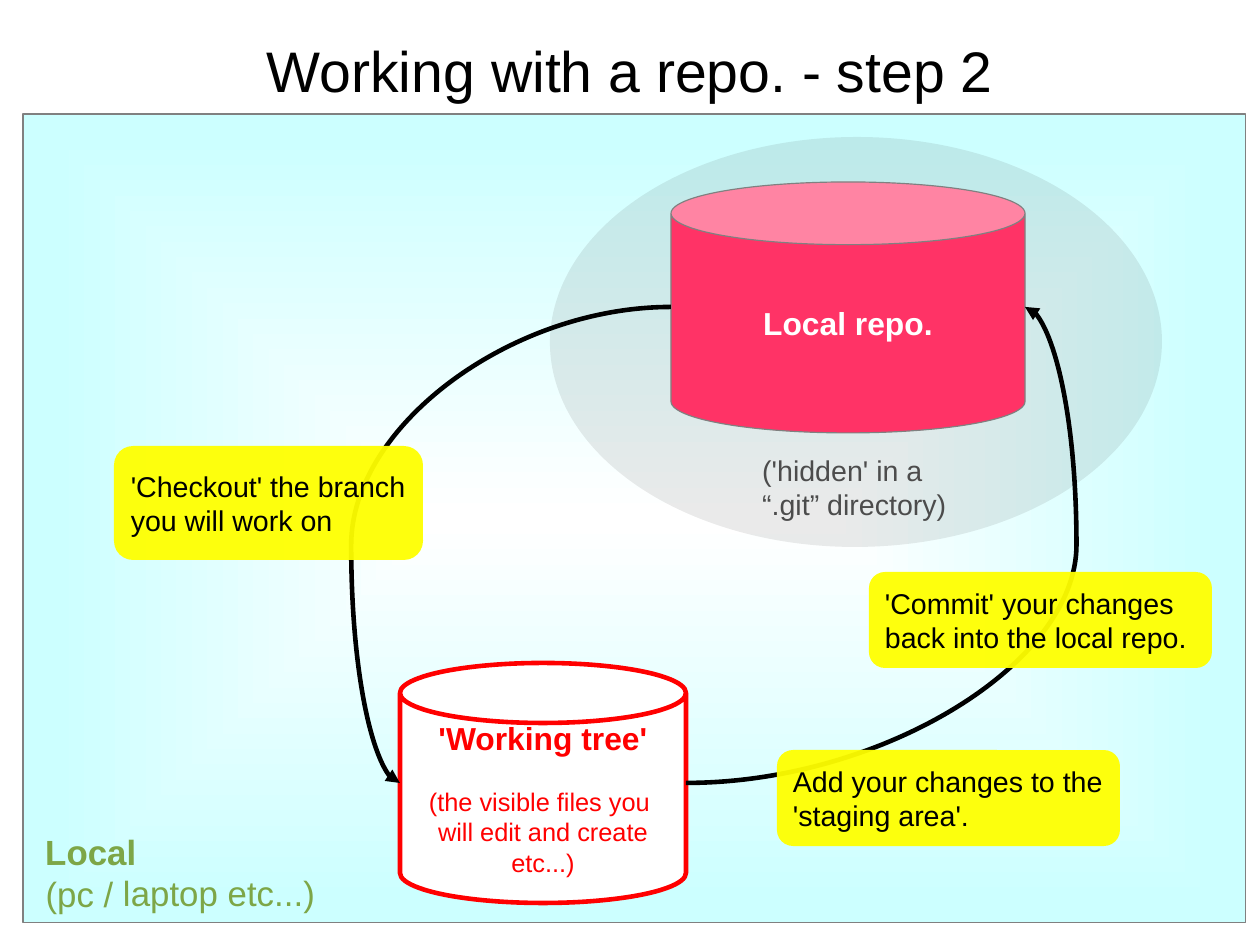
from dataclasses import dataclass

from lxml import etree
from pptx import Presentation
from pptx.dml.color import RGBColor
from pptx.enum.shapes import MSO_CONNECTOR, MSO_SHAPE
from pptx.enum.text import MSO_ANCHOR, PP_ALIGN
from pptx.oxml import parse_xml
from pptx.oxml.ns import nsdecls, qn
from pptx.util import Emu, Pt

EMU_PER_PX = 8000  # 1260 x 945 px make a slide of 28 x 21 cm
FONT = "Arial"
RECTANGLE, ELLIPSE = MSO_SHAPE.RECTANGLE, MSO_SHAPE.OVAL
CYLINDER, ROUNDED = MSO_SHAPE.CAN, MSO_SHAPE.ROUNDED_RECTANGLE
CURVE = MSO_CONNECTOR.CURVE
LEFT, CENTER = PP_ALIGN.LEFT, PP_ALIGN.CENTER
TOP, MIDDLE = MSO_ANCHOR.TOP, MSO_ANCHOR.MIDDLE
THICK = 2.89

COLORS = {
    "black": "000000",
    "white": "FFFFFF",
    "cyan": "CCFFFF",
    "grey": "808080",
    "shade": "333333",
    "note": "4C4C4C",
    "green": "7DA647",
    "pink": "FF3366",
    "red": "FF0000",
    "yellow": "FFFF00",
}


@dataclass(frozen=True)
class Box:
    left: int
    top: int
    width: int
    height: int

    def emu(self) -> list[Emu]:
        return [px(n) for n in (self.left, self.top, self.width, self.height)]


@dataclass(frozen=True)
class Line:
    text: str
    size: int
    color: str
    bold: bool = False
    space_before: float = 0


@dataclass(frozen=True)
class Look:
    fill: str | None = None
    opacity: int = 100
    line: str | None = None
    line_width: float = 0


@dataclass(frozen=True)
class Arrow:
    start: tuple[int, int]
    end: tuple[int, int]
    bend: int  # thousandths of a percent of the width


LABELS = [
    (Box(114, 446, 309, 114), ("'Checkout' the branch", "you will work on")),
    (Box(869, 572, 343, 96), ("'Commit' your changes", "back into the local repo.")),
    (Box(777, 750, 343, 96), ("Add your changes to the", "'staging area'.")),
]
ARROWS = [
    Arrow((671, 307), (400, 783), 118000),
    Arrow((686, 783), (1025, 307), 115200),
]


def px(length: int) -> Emu:
    return Emu(length * EMU_PER_PX)


def rgb(name: str) -> RGBColor:
    return RGBColor.from_string(COLORS[name])


def add_preset(slide, kind, box: Box, look: Look):
    shape = slide.shapes.add_shape(kind, *box.emu())
    shape.shadow.inherit = False
    if look.fill:
        shape.fill.solid()
        shape.fill.fore_color.rgb = rgb(look.fill)
        if look.opacity < 100:
            color = shape.fill._xPr.find(".//" + qn("a:srgbClr"))
            etree.SubElement(color, qn("a:alpha"), val=str(look.opacity * 1000))
    if look.line:
        shape.line.color.rgb = rgb(look.line)
        shape.line.width = Pt(look.line_width)
    else:
        shape.line.fill.background()
    return shape


def write(shape, lines: list[Line], align=LEFT, anchor=TOP) -> None:
    frame = shape.text_frame
    frame.word_wrap = False
    frame.vertical_anchor = anchor
    for index, line in enumerate(lines):
        paragraph = frame.add_paragraph() if index else frame.paragraphs[0]
        paragraph.alignment = align
        if line.space_before:
            paragraph.space_before = Pt(line.space_before)
        run = paragraph.add_run()
        run.text = line.text
        run.font.name = FONT
        run.font.size = Pt(line.size)
        run.font.bold = line.bold
        run.font.color.rgb = rgb(line.color)


def add_text(slide, box: Box, lines: list[Line], align=LEFT, anchor=TOP):
    shape = slide.shapes.add_textbox(*box.emu())
    write(shape, lines, align, anchor)
    return shape


def add_background(slide) -> None:
    """Draw the local machine area, white in the middle and cyan outwards."""
    area = add_preset(slide, RECTANGLE, Box(23, 114, 1223, 809), Look(line="grey"))
    gradient = parse_xml(
        f'<a:gradFill {nsdecls("a")} rotWithShape="1"><a:gsLst>'
        f'<a:gs pos="0"><a:srgbClr val="{COLORS["white"]}"/></a:gs>'
        f'<a:gs pos="95000"><a:srgbClr val="{COLORS["cyan"]}"/></a:gs></a:gsLst>'
        '<a:path path="rect">'
        '<a:fillToRect l="50000" t="50000" r="50000" b="50000"/>'
        "</a:path></a:gradFill>"
    )
    area._element.spPr.find(qn("a:prstGeom")).addnext(gradient)


def add_arrow(slide, arrow: Arrow) -> None:
    ends = [px(n) for n in (*arrow.start, *arrow.end)]
    connector = slide.shapes.add_connector(CURVE, *ends)
    connector.line.color.rgb = rgb("black")
    connector.line.width = Pt(THICK)
    properties = connector._element.spPr
    guides = properties.find(qn("a:prstGeom")).get_or_add_avLst()
    etree.SubElement(guides, qn("a:gd"), name="adj1", fmla=f"val {arrow.bend}")
    etree.SubElement(properties.find(qn("a:ln")), qn("a:tailEnd"), type="triangle")
    etree.SubElement(properties, qn("a:effectLst"))


def add_stores(slide) -> None:
    repo = add_preset(
        slide, CYLINDER, Box(671, 182, 354, 251), Look("pink", line="grey")
    )
    write(repo, [Line("Local repo.", 20, "white", bold=True)], CENTER, MIDDLE)
    tree = add_preset(
        slide, CYLINDER, Box(400, 663, 286, 240),
        Look("white", line="red", line_width=THICK),
    )
    tree_lines = [
        Line("'Working tree'", 20, "red", bold=True),
        Line("(the visible files you ", 16, "red", space_before=18.4),
        Line("will edit and create", 16, "red"),
        Line("etc...)", 16, "red"),
    ]
    write(tree, tree_lines, CENTER, MIDDLE)


def main() -> None:
    presentation = Presentation()
    presentation.slide_width, presentation.slide_height = px(1260), px(945)
    slide = presentation.slides.add_slide(presentation.slide_layouts[6])

    add_background(slide)
    place = [
        Line("Local", 22, "green", bold=True),
        Line("(pc / laptop etc...)", 22, "green"),
    ]
    add_text(slide, Box(34, 824, 293, 89), place).rotation = 359.6
    hidden_area = add_preset(
        slide, ELLIPSE, Box(550, 137, 612, 410), Look("shade", opacity=10)
    )
    hidden_area.rotation = 359.8
    title = [Line("Working with a repo. - step 2", 36, "black")]
    add_text(slide, Box(63, -9, 1134, 158), title, CENTER, MIDDLE)

    add_stores(slide)
    for arrow in ARROWS:
        add_arrow(slide, arrow)
    note = [Line(text, 18, "note") for text in ("('hidden' in a", "“.git” directory)")]
    add_text(slide, Box(751, 447, 207, 101), note)
    for box, texts in LABELS:
        label = add_preset(slide, ROUNDED, box, Look("yellow", opacity=95))
        write(label, [Line(text, 18, "black") for text in texts], LEFT, MIDDLE)

    presentation.save("out.pptx")


if __name__ == "__main__":
    main()
